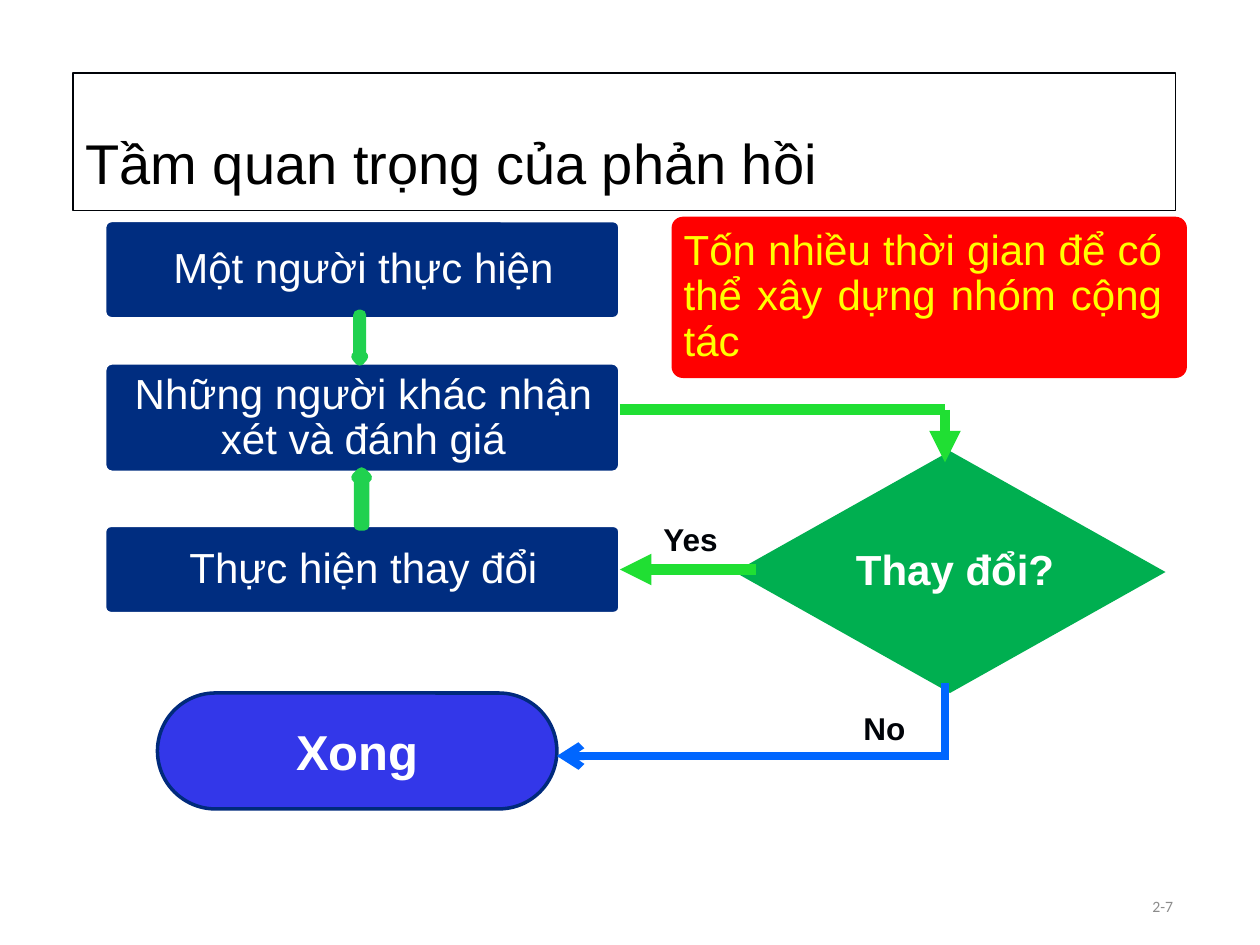
from pptx import Presentation
from pptx.dml.color import RGBColor
from pptx.enum.shapes import MSO_CONNECTOR, MSO_SHAPE
from pptx.enum.text import MSO_ANCHOR, PP_ALIGN
from pptx.oxml.ns import qn
from pptx.util import Emu, Pt
from lxml.etree import SubElement

SCALE = 9144

WHITE = RGBColor(0xFF, 0xFF, 0xFF)
BLACK = RGBColor(0x00, 0x00, 0x00)
INK = RGBColor(0x00, 0x03, 0x08)
NAVY = RGBColor(0x00, 0x2D, 0x80)
PILL_EDGE = RGBColor(0x00, 0x2A, 0x7C)
PILL_BLUE = RGBColor(0x33, 0x37, 0xE9)
NO_BLUE = RGBColor(0x00, 0x66, 0xFF)
DIAMOND_GREEN = RGBColor(0x00, 0xAF, 0x50)
FLOW_GREEN = RGBColor(0x20, 0xDF, 0x33)
STUB_GREEN = RGBColor(0x20, 0xD1, 0x4F)
RED = RGBColor(0xFF, 0x00, 0x00)
YELLOW = RGBColor(0xFF, 0xFF, 0x00)
GREY = RGBColor(0x8C, 0x8C, 0x8C)


def px(length):
    return Emu(length * SCALE)


def apply(target, values):
    for name, value in values.items():
        setattr(target, name, value)


def write(holder, text, size, color, bold=False, font="Arial",
          align=PP_ALIGN.CENTER, spacing=None, insets=(0, 0, 0, 0), wrap=True):
    frame = holder.text_frame
    left, top, right, bottom = insets
    apply(frame, {
        "text": text, "word_wrap": wrap, "vertical_anchor": MSO_ANCHOR.MIDDLE,
        "margin_left": px(left), "margin_top": px(top),
        "margin_right": px(right), "margin_bottom": px(bottom),
    })
    paragraph = frame.paragraphs[0]
    apply(paragraph, {"alignment": align, "line_spacing": spacing})
    run_font = paragraph.runs[0].font
    apply(run_font, {"name": font, "size": Pt(size), "bold": bold})
    run_font.color.rgb = color


def add_block(slide, kind, bounds, fill, edge=None, edge_width=2, adjust=()):
    block = slide.shapes.add_shape(kind, *map(px, bounds))
    block.shadow.inherit = False
    block.fill.solid()
    block.fill.fore_color.rgb = fill
    if edge is None:
        block.line.fill.background()
    else:
        block.line.color.rgb = edge
        block.line.width = Pt(edge_width)
    for index, value in enumerate(adjust):
        block.adjustments[index] = value
    return block


def add_label(slide, bounds, text, size, color, **style):
    label = slide.shapes.add_textbox(*map(px, bounds))
    write(label, text, size, color, **style)


def add_flow(slide, start, end, color, width, head=None):
    flow = slide.shapes.add_connector(
        MSO_CONNECTOR.STRAIGHT, *map(px, start + end))
    flow.line.color.rgb = color
    flow.line.width = Pt(width)
    if head:
        SubElement(flow.line._get_or_add_ln(), qn("a:tailEnd"), type=head)
    SubElement(flow._element.spPr, qn("a:effectLst"))
    return flow


def add_steps(slide):
    steps = [
        (175, 78, "Một người thực hiện"),
        (288, 87, "Những người khác nhận xét và đánh giá"),
        (417, 70, "Thực hiện thay đổi"),
    ]
    for top, height, text in steps:
        step = add_block(slide, MSO_SHAPE.ROUNDED_RECTANGLE,
                         (83, top, 409, height), NAVY, WHITE, adjust=[0.07])
        write(step, text, 24, WHITE, spacing=Pt(25.9), insets=(10, 0, 8, 0))
    return step


def add_flows(slide, change_step):
    add_flow(slide, (492, 325), (750, 325), FLOW_GREEN, 6)
    add_flow(slide, (750, 325), (750, 367), FLOW_GREEN, 6, "triangle")
    yes_flow = add_flow(slide, (600, 452), (492, 452), FLOW_GREEN, 6, "triangle")
    yes_flow.end_connect(change_step, 3)
    add_flow(slide, (750, 542), (750, 600), NO_BLUE, 4.5)
    add_flow(slide, (753, 600), (442, 600), NO_BLUE, 4.5, "arrow")
    for kind, bounds, adjust in [
        (MSO_SHAPE.UP_ARROW, (283, 375, 8, 42), (0.5, 0.5)),
        (MSO_SHAPE.DOWN_ARROW, (283, 250, 5, 36), (0.4, 0.6)),
    ]:
        add_block(slide, kind, bounds, FLOW_GREEN, STUB_GREEN, 6, adjust)


def main():
    deck = Presentation()
    apply(deck, {"slide_width": px(1000), "slide_height": px(750)})
    slide = deck.slides.add_slide(deck.slide_layouts[6])

    title = add_block(slide, MSO_SHAPE.RECTANGLE, (58, 58, 875, 109),
                      WHITE, INK, 0.75)
    write(title, "Tầm quan trọng của phản hồi", 32, BLACK,
          align=PP_ALIGN.LEFT, insets=(10, 33, 0, 0))

    change_step = add_steps(slide)

    warning = add_block(slide, MSO_SHAPE.ROUNDED_RECTANGLE,
                        (533, 172, 409, 128), RED, adjust=[0.07])
    write(warning, "Tốn nhiều thời gian để có thể xây dựng nhóm cộng tác",
          24, YELLOW, align=PP_ALIGN.JUSTIFY, spacing=0.9,
          insets=(7, 0, 17, 0))

    decision = add_block(slide, MSO_SHAPE.DIAMOND, (583, 358, 342, 192),
                         DIAMOND_GREEN)
    write(decision, "Thay đổi?", 24, WHITE, bold=True, wrap=False,
          insets=(8, 0, 0, 6))

    done = add_block(slide, MSO_SHAPE.ROUNDED_RECTANGLE, (125, 550, 317, 92),
                     PILL_BLUE, PILL_EDGE, adjust=[0.5])
    write(done, "Xong", 28, WHITE, bold=True)

    add_flows(slide, change_step)

    add_label(slide, (525, 411, 46, 33), "Yes", 18, INK, bold=True, wrap=False)
    add_label(slide, (684, 561, 36, 33), "No", 18, INK, bold=True, wrap=False)
    add_label(slide, (706, 695, 225, 40), "2-7", 9, GREY, font="Calibri",
              align=PP_ALIGN.RIGHT, spacing=Pt(16.5))

    deck.save("out.pptx")


if __name__ == "__main__":
    main()
